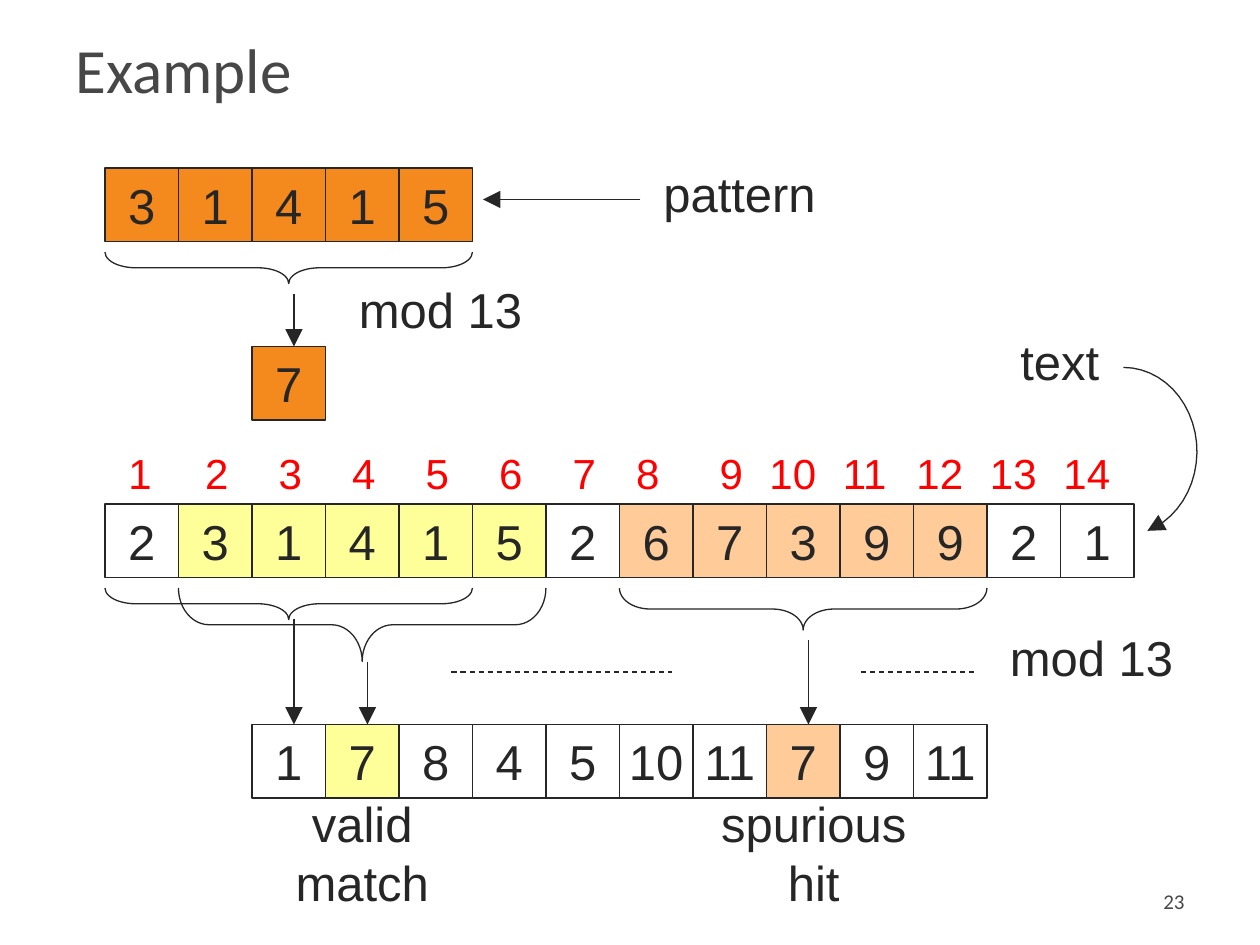
"""Draw the string-matching example with hashes modulo 13."""
from dataclasses import dataclass
from math import cos, radians, sin
from typing import Optional

from lxml.etree import SubElement
from pptx import Presentation
from pptx.dml.color import RGBColor
from pptx.enum.dml import MSO_LINE
from pptx.enum.shapes import MSO_CONNECTOR, MSO_SHAPE
from pptx.enum.text import MSO_ANCHOR as Anchor, MSO_AUTO_SIZE as AutoSize, PP_ALIGN as Align
from pptx.oxml.ns import qn
from pptx.util import Inches, Pt

INK = RGBColor(0x26, 0x26, 0x26)
GREY = RGBColor(0x47, 0x47, 0x47)
RED = RGBColor(0xFF, 0x00, 0x00)
ORANGE = RGBColor(0xF4, 0x89, 0x1E)
YELLOW = RGBColor(0xFF, 0xFF, 0x99)
PEACH = RGBColor(0xFF, 0xCC, 0x99)

WIDTH, HEIGHT = Inches(10), Inches(7.5)
COLUMNS = 120
CELL = 7
LEFT = 10
WINDOW = 5
BRACE_CURVE = 2.92


@dataclass(frozen=True)
class Strip:
    start: int
    row: float
    values: list[str]
    fills: dict[int, RGBColor]


@dataclass(frozen=True)
class Label:
    text: str
    column: float
    row: float
    columns: float
    rows: float
    size: int = 28
    color: RGBColor = INK
    font: str = "Arial"
    align: Align = Align.LEFT
    anchor: Anchor = Anchor.TOP
    wrap: bool = True


@dataclass(frozen=True)
class Brace:
    start: int
    row: float
    depth: float


@dataclass(frozen=True)
class Rule:
    x1: float
    y1: float
    x2: float
    y2: float
    dashed: bool = False


STRIPS = [
    Strip(0, 16, list("31415"), dict.fromkeys(range(5), ORANGE)),
    Strip(2, 33, ["7"], {0: ORANGE}),
    Strip(0, 48, list("23141526739921"),
          dict.fromkeys(range(1, 6), YELLOW) | dict.fromkeys(range(7, 12), PEACH)),
    Strip(2, 69, "1 7 8 4 5 10 11 7 9 11".split(), {1: YELLOW, 7: PEACH}),
]
LABELS = [
    Label("Example", 6, 2, 108, 9, 36, GREY, "Calibri", anchor=Anchor.MIDDLE),
    Label("23", 86, 83.4, 28, 4.8, 12, GREY, "Calibri", Align.RIGHT, Anchor.MIDDLE),
    Label("pattern", 62, 15, 17, 6.84),
    Label("text", 96, 31, 11, 6.84),
    Label("mod 13", 33, 26, 19, 6.84),
    Label("mod 13", 95, 59.2, 19, 6.84),
    Label("valid match", 26, 75, 17, 12.36, align=Align.CENTER),
    Label("spurious hit", 66, 75, 23, 12.36, align=Align.CENTER),
]
BRACES = [Brace(0, 24, 3), Brace(0, 56, 3), Brace(1, 56, 7), Brace(7, 56, 4)]
RULES = [
    Rule(28, 28, 28, 33), Rule(61, 19, 46, 19), Rule(28, 59, 28, 69),
    Rule(35, 63, 35, 69), Rule(77, 61, 77, 69),
    Rule(43, 64, 64, 64, True), Rule(82, 64, 93, 64, True),
]
INDEX_SHIFT = {1: 1.05, 8: 0.4}


def unit(count: float) -> int:
    """Return the length of a number of grid columns or rows."""
    return round(WIDTH * count / COLUMNS)


def write(frame, text: str, size: int, color: RGBColor, font: str, align: Align) -> None:
    """Add one formatted span to the first paragraph of a frame."""
    para = frame.paragraphs[0]
    para.alignment = align
    span = para.add_run()
    span.text = text
    span.font.size = Pt(size)
    span.font.name = font
    span.font.color.rgb = color


def outline(line) -> None:
    """Give a line the thin ink stroke."""
    line.color.rgb = INK
    line.width = Pt(0.75)


def add_arrowhead(line) -> None:
    """End a line with a large triangle."""
    SubElement(line._get_or_add_ln(), qn("a:tailEnd"), type="triangle", w="lg", len="lg")


def draw_label(page, label: Label) -> None:
    """Draw a text box."""
    box = page.shapes.add_textbox(unit(label.column), unit(label.row),
                                  unit(label.columns), unit(label.rows))
    frame = box.text_frame
    frame.word_wrap = label.wrap
    if not label.wrap:
        frame.auto_size = AutoSize.SHAPE_TO_FIT_TEXT
    frame.vertical_anchor = label.anchor
    write(frame, label.text, label.size, label.color, label.font, label.align)


def draw_strip(page, strip: Strip) -> None:
    """Draw a row of square cells."""
    for place, value in enumerate(strip.values):
        column = LEFT + CELL * (strip.start + place)
        cell = page.shapes.add_shape(MSO_SHAPE.RECTANGLE, unit(column), unit(strip.row),
                                     unit(CELL), unit(CELL))
        cell.shadow.inherit = False
        outline(cell.line)
        fill: Optional[RGBColor] = strip.fills.get(place)
        if fill is None:
            cell.fill.background()
        else:
            cell.fill.solid()
            cell.fill.fore_color.rgb = fill
        frame = cell.text_frame
        frame.word_wrap = False
        frame.vertical_anchor = Anchor.MIDDLE
        write(frame, value, 28, INK, "Arial", Align.CENTER)


def draw_indices(page, count: int) -> None:
    """Number the cells of the text strip."""
    for number in range(1, count + 1):
        single = number < 10
        shift = INDEX_SHIFT.get(number, 1.35 if single else -0.9)
        column = LEFT + CELL * (number - 1) + shift
        draw_label(page, Label(str(number), column, 42, 4.7 if single else 6.9, 6,
                               24, RED, wrap=False))


def draw_brace(page, brace: Brace) -> None:
    """Draw a brace that opens upwards under one window of cells."""
    span = CELL * WINDOW
    middle_x = LEFT + CELL * brace.start + span / 2
    middle_y = brace.row + brace.depth / 2
    shape = page.shapes.add_shape(MSO_SHAPE.LEFT_BRACE, unit(middle_x - brace.depth / 2),
                                  unit(middle_y - span / 2), unit(brace.depth), unit(span))
    shape.rotation = 270
    shape.adjustments[0] = BRACE_CURVE / brace.depth
    shape.shadow.inherit = False
    shape.fill.background()
    outline(shape.line)


def draw_rule(page, rule: Rule) -> None:
    """Draw an arrow or a dashed line."""
    line = page.shapes.add_connector(MSO_CONNECTOR.STRAIGHT, unit(rule.x1), unit(rule.y1),
                                     unit(rule.x2), unit(rule.y2))
    outline(line.line)
    if rule.dashed:
        line.line.dash_style = MSO_LINE.DASH
    else:
        add_arrowhead(line.line)
    SubElement(line._element.spPr, qn("a:effectLst"))


def draw_text_arrow(page) -> None:
    """Draw the curved arrow from the word to the text strip."""
    points = [(unit(107 + 7 * cos(radians(angle))), unit(43 + 8 * sin(radians(angle))))
              for angle in range(-90, 72, 7)]
    builder = page.shapes.build_freeform(*points[0])
    builder.add_line_segments(points[1:], close=False)
    curve = builder.convert_to_shape()
    curve.shadow.inherit = False
    curve.fill.background()
    outline(curve.line)
    add_arrowhead(curve.line)


def main() -> None:
    """Build and save the deck."""
    deck = Presentation()
    deck.slide_width, deck.slide_height = WIDTH, HEIGHT
    page = deck.slides.add_slide(deck.slide_layouts[6])
    for items, draw in ((STRIPS, draw_strip), (LABELS, draw_label),
                        (BRACES, draw_brace), (RULES, draw_rule)):
        for item in items:
            draw(page, item)
    draw_indices(page, 14)
    draw_text_arrow(page)
    deck.save("out.pptx")


if __name__ == "__main__":
    main()
